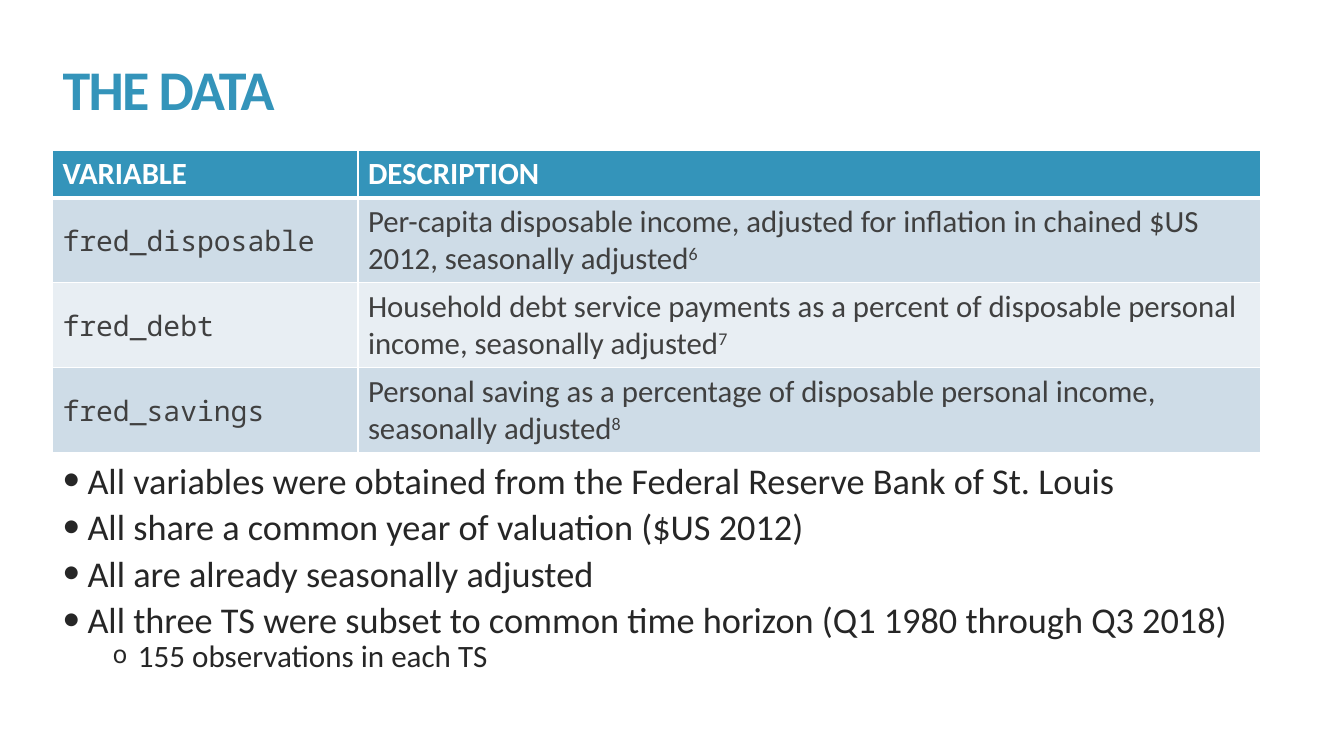
from dataclasses import dataclass

from lxml.etree import SubElement
from pptx import Presentation
from pptx.dml.color import RGBColor
from pptx.enum.text import MSO_ANCHOR, MSO_AUTO_SIZE, PP_ALIGN
from pptx.oxml.ns import qn
from pptx.util import Inches, Pt


@dataclass(frozen=True)
class Theme:
    accent: str = "3494BA"
    white: str = "FFFFFF"
    cell_text: str = "404040"
    body_text: str = "262626"
    bands: tuple = ("CEDCE7", "E8EEF3")
    sans: str = "Calibri"
    mono: str = "Noto Sans Mono"
    title_size: float = 40
    cell_size: float = 22
    code_size: float = 20
    bullet_sizes: tuple = (25.9, 22.2)


class DataSlide:
    def __init__(self, deck, theme):
        self.theme = theme
        self.slide = deck.slides.add_slide(deck.slide_layouts[5])

    def apply(self, target, values):
        for name, value in values.items():
            setattr(target, name, value)

    def add_words(self, paragraph, text, size, color, face=None, bold=False):
        run = paragraph.add_run()
        run.text = text
        self.apply(run.font, {"size": Pt(size), "name": face or self.theme.sans, "bold": bold})
        run.font.color.rgb = RGBColor.from_string(color)
        return run

    def title(self, text, left, top, width, height):
        heading = self.slide.shapes.title
        self.apply(heading, {"left": left, "top": top, "width": width, "height": height})
        self.apply(heading.text_frame, {
            "word_wrap": True,
            "auto_size": MSO_AUTO_SIZE.NONE,
            "vertical_anchor": MSO_ANCHOR.MIDDLE,
        })
        paragraph = heading.text_frame.paragraphs[0]
        self.apply(paragraph, {"alignment": PP_ALIGN.LEFT, "line_spacing": 0.85})
        run = self.add_words(paragraph, text, self.theme.title_size, self.theme.accent, bold=True)
        run.font._element.set("spc", "-120")

    def borders(self, cell, top, bottom):
        properties = cell._tc.get_or_add_tcPr()
        edges = {"a:lnL": 1, "a:lnR": 1, "a:lnT": top, "a:lnB": bottom}
        for position, (edge, width) in enumerate(edges.items()):
            line = SubElement(properties, qn(edge), w=str(Pt(width)))
            fill = SubElement(line, qn("a:solidFill"))
            SubElement(fill, qn("a:srgbClr"), val=self.theme.white)
            properties.insert(position, line)

    def cell(self, cell, fill, top=1, bottom=1):
        cell.fill.solid()
        cell.fill.fore_color.rgb = RGBColor.from_string(fill)
        cell.vertical_anchor = MSO_ANCHOR.MIDDLE
        self.borders(cell, top, bottom)
        return cell.text_frame.paragraphs[0]

    def variable_table(self, headings, variables, left, top, widths, heights):
        theme = self.theme
        table = self.slide.shapes.add_table(
            len(variables) + 1, len(headings), left, top, sum(widths), sum(heights)
        ).table
        for column, width in zip(table.columns, widths):
            column.width = width
        for row, height in zip(table.rows, heights):
            row.height = height
        for column, heading in enumerate(headings):
            paragraph = self.cell(table.cell(0, column), theme.accent, bottom=3)
            self.add_words(paragraph, heading, theme.cell_size, theme.white, bold=True)
        for row, (variable, description, footnote) in enumerate(variables, 1):
            band = theme.bands[(row - 1) % 2]
            name, meaning = (
                self.cell(cell, band, top=3 if row == 1 else 1) for cell in table.rows[row].cells
            )
            self.add_words(name, variable, theme.code_size, theme.cell_text, theme.mono)
            self.add_words(meaning, description, theme.cell_size, theme.cell_text)
            reference = self.add_words(meaning, footnote, theme.cell_size, theme.cell_text)
            reference.font._element.set("baseline", "30000")

    def bullets(self, points, left, top, width, height):
        theme = self.theme
        frame = self.slide.shapes.add_textbox(left, top, width, height).text_frame
        frame.word_wrap = True
        levels = (
            {"mark": "•", "scale": 100, "indent": 0.25, "before": 13, "face": theme.sans},
            {"mark": "o", "scale": 80, "indent": 0.75, "before": 6, "face": theme.mono},
        )
        for index, (level, text) in enumerate(points):
            look = levels[level]
            paragraph = frame.add_paragraph() if index else frame.paragraphs[0]
            self.apply(paragraph, {
                "level": level,
                "line_spacing": 0.65,
                "space_before": Pt(look["before"]),
            })
            properties = paragraph._p.get_or_add_pPr()
            properties.set("marL", str(Inches(look["indent"])))
            properties.set("indent", str(Inches(-0.25)))
            SubElement(properties, qn("a:buSzPct"), val=str(look["scale"] * 1000))
            SubElement(properties, qn("a:buFont"), typeface=look["face"])
            SubElement(properties, qn("a:buChar"), char=look["mark"])
            self.add_words(paragraph, text, theme.bullet_sizes[level], theme.body_text)


def main():
    deck = Presentation()
    deck.slide_width, deck.slide_height = Inches(13.33), Inches(7.5)
    page = DataSlide(deck, Theme())
    left, width = Inches(0.52), Inches(12.26)
    page.title("THE DATA", left, Inches(0.45), width, Inches(0.96))
    page.variable_table(
        ("VARIABLE", "DESCRIPTION"),
        (
            ("fred_disposable", "Per-capita disposable income, adjusted for inflation in chained "
             "$US 2012, seasonally adjusted", "6"),
            ("fred_debt", "Household debt service payments as a percent of disposable personal "
             "income, seasonally adjusted", "7"),
            ("fred_savings", "Personal saving as a percentage of disposable personal income, "
             "seasonally adjusted", "8"),
        ),
        left, Inches(1.49),
        (Inches(3.03), Inches(8.95)),
        (Inches(0.46), *[Inches(0.84)] * 3),
    )
    page.bullets(
        (
            (0, "All variables were obtained from the Federal Reserve Bank of St. Louis"),
            (0, "All share a common year of valuation ($US 2012)"),
            (0, "All are already seasonally adjusted"),
            (0, "All three TS were subset to common time horizon (Q1 1980 through Q3 2018)"),
            (1, "155 observations in each TS"),
        ),
        left, Inches(4.63), width, Inches(2.23),
    )
    deck.save("out.pptx")


if __name__ == "__main__":
    main()
